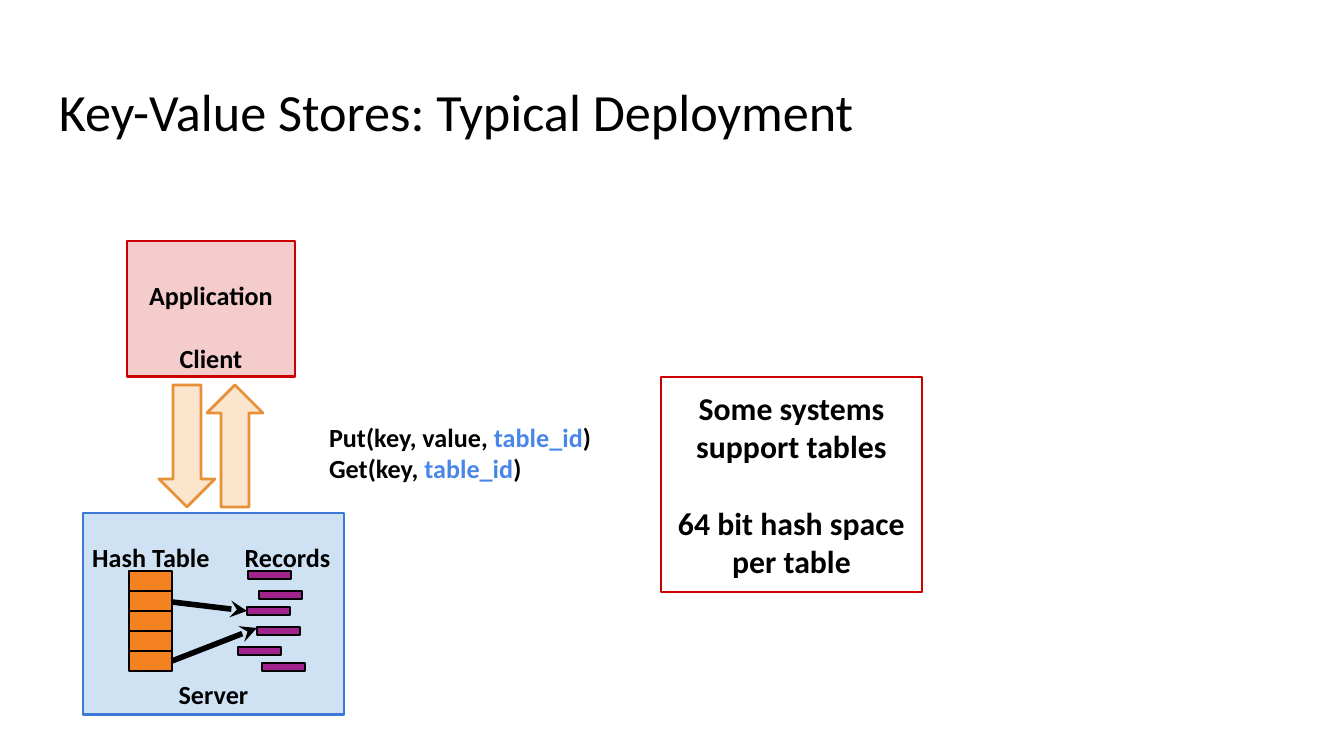
import pptx
import pptx.dml.color
import pptx.enum.shapes
import pptx.enum.text
import pptx.oxml.ns
import pptx.util
from lxml import etree

THEME = {
    "font": "Calibri", "title": 28, "note": 17, "body": 14,
    "black": "000000", "accent": "4A86E8",
    "red": "CC0000", "pink": "F4CCCC",
    "blue": "3C78D8", "pale blue": "CFE2F3",
    "orange": "E69138", "pale orange": "FCE5CD",
    "bucket": "F58220", "record": "A3238E",
}
PX = 914400 / 134.4
RECTANGLE = pptx.enum.shapes.MSO_SHAPE.RECTANGLE
CENTER = pptx.enum.text.PP_ALIGN.CENTER
LEFT = pptx.enum.text.PP_ALIGN.LEFT
TOP = pptx.enum.text.MSO_ANCHOR.TOP
MIDDLE = pptx.enum.text.MSO_ANCHOR.MIDDLE
BOTTOM = pptx.enum.text.MSO_ANCHOR.BOTTOM
color = pptx.dml.color.RGBColor.from_string


def add_box(kind, bounds, fill, line, width):
    shape = slide.shapes.add_shape(kind, *[round(value * PX) for value in bounds])
    shape.shadow.inherit = False
    if fill:
        shape.fill.solid()
        shape.fill.fore_color.rgb = color(THEME[fill])
    else:
        shape.fill.background()
    shape.line.color.rgb = color(THEME[line])
    shape.line.width = pptx.util.Pt(width)
    return shape


def write(shape, lines, size="body", align=CENTER, anchor=MIDDLE,
          inset=(13, 13), bold=True, gaps=()):
    """Fill a shape with lines, each a list of runs; table_id is accented.

    inset is (horizontal, vertical) in px; gaps maps line numbers to points before.
    """
    frame = shape.text_frame
    frame.word_wrap = True
    frame.auto_size = pptx.enum.text.MSO_AUTO_SIZE.NONE
    frame.vertical_anchor = anchor
    frame.margin_left = frame.margin_right = round(inset[0] * PX)
    frame.margin_top = frame.margin_bottom = round(inset[1] * PX)
    for number, texts in enumerate(lines):
        paragraph = frame.paragraphs[0] if number == 0 else frame.add_paragraph()
        paragraph.alignment = align
        if number in gaps:
            paragraph.space_before = pptx.util.Pt(gaps[number])
        for text in texts:
            run = paragraph.add_run()
            run.text = text
            run.font.name = THEME["font"]
            run.font.size = pptx.util.Pt(THEME[size])
            run.font.bold = bold
            run.font.color.rgb = color(THEME["accent" if text == "table_id" else "black"])


presentation = pptx.Presentation()
presentation.slide_width = round(1344 * PX)
presentation.slide_height = round(756 * PX)
slide = presentation.slides.add_slide(presentation.slide_layouts.get_by_name("Title Only"))

title = slide.shapes.title
title.left, title.top, title.width, title.height = [
    round(value * PX) for value in (46, 66, 1252, 84)]
write(title, [["Key-Value Stores: Typical Deployment"]], "title", LEFT, TOP, bold=False)

# Client and server
client = add_box(RECTANGLE, (127, 241, 168, 136), "pink", "red", 1.5)
write(client, [["Application"], ["Client"]], anchor=BOTTOM, inset=(13, 3), gaps={1: 17})
server = add_box(RECTANGLE, (83, 513, 261, 202), "pale blue", "blue", 1.5)
write(server, [["Server"]], anchor=BOTTOM, inset=(13, 5))

# Request and response
for kind, left in ((pptx.enum.shapes.MSO_SHAPE.DOWN_ARROW, 159),
                   (pptx.enum.shapes.MSO_SHAPE.UP_ARROW, 207)):
    add_box(kind, (left, 385, 56, 122), "pale orange", "orange", 1.5)

# Hash table buckets pointing at records
for row in range(5):
    add_box(RECTANGLE, (129, 571 + 20 * row, 43, 20), "bucket", "black", 0.75)

for start_y, end_x, end_y in ((602, 247, 611), (661, 257, 628)):
    arrow = slide.shapes.add_connector(
        pptx.enum.shapes.MSO_CONNECTOR.STRAIGHT,
        *[round(value * PX) for value in (172, start_y, end_x, end_y)])
    arrow.line.color.rgb = color(THEME["black"])
    arrow.line.width = pptx.util.Pt(3)
    etree.SubElement(arrow.line._get_or_add_ln(), pptx.oxml.ns.qn("a:tailEnd"), type="stealth")
    etree.SubElement(arrow._element.spPr, pptx.oxml.ns.qn("a:effectLst"))

for left, top in ((248, 571), (259, 591), (247, 607), (257, 627), (238, 647), (262, 663)):
    add_box(RECTANGLE, (left, top, 43, 8), "record", "black", 0.75)

# Labels and calls
calls = [["Put(key, value, ", "table_id", ")"], ["Get(key, ", "table_id", ")"]]
for bounds, lines, align, inset in (
        ((78, 535, 146, 31), [["Hash Table"]], CENTER, (12, 6)),
        ((231, 535, 113, 31), [["Records"]], CENTER, (12, 6)),
        ((316, 408, 335, 77), calls, LEFT, (13, 13))):
    label = slide.shapes.add_textbox(*[round(value * PX) for value in bounds])
    write(label, lines, align=align, anchor=TOP, inset=inset)

note = add_box(RECTANGLE, (661, 377, 261, 215), None, "red", 1.5)
write(note, [["Some systems support tables"], ["64 bit hash space"], ["per table"]],
      "note", gaps={1: 21})

presentation.save("out.pptx")
